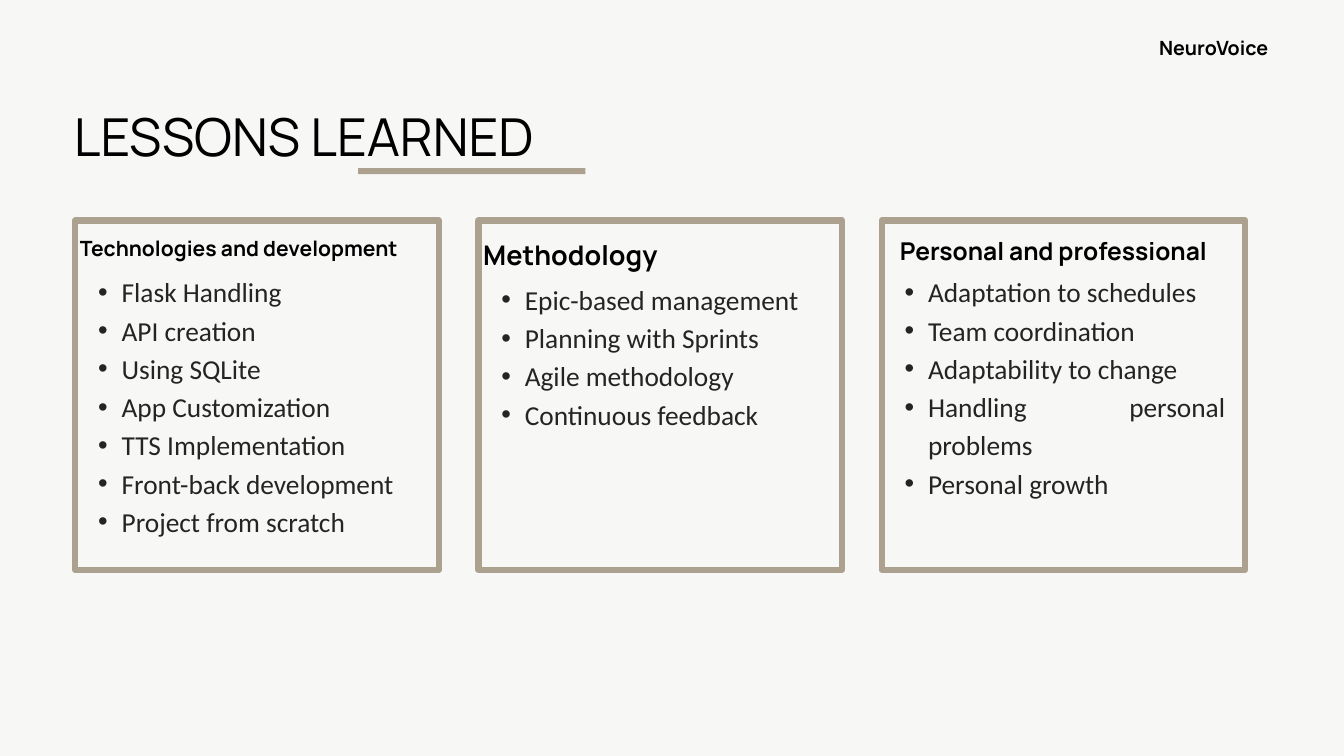
from lxml import etree
from pptx import Presentation
from pptx import util as u
from pptx.dml.color import RGBColor
from pptx.enum import shapes, text
from pptx.oxml.ns import qn

PX = 9144
COLORS = {"paper": "F7F7F6", "taupe": "ACA18F", "black": "000000", "ink": "242424"}
ALIGN = text.PP_ALIGN
PANELS = [
    {"heading": "Technologies and development", "size": 22.5, "leading": 31.4,
     "align": ALIGN.JUSTIFY, "heading_box": (7, 16, 512, 44), "list_box": (0, 74, 605, 393),
     "lessons": ["Flask Handling", "API creation", "Using SQLite", "App Customization",
                 "TTS Implementation", "Front-back development", "Project from scratch"]},
    {"heading": "Methodology", "size": 29, "leading": 40.6,
     "align": ALIGN.LEFT, "heading_box": (7, 19, 426, 57), "list_box": (0, 85, 534, 224),
     "lessons": ["Epic-based management", "Planning with Sprints", "Agile methodology",
                 "Continuous feedback"]},
    {"heading": "Personal and professional", "size": 26.3, "leading": 36.8,
     "align": ALIGN.CENTER, "heading_box": (0, 16, 511, 51), "list_box": (0, 74, 511, 337),
     "lessons": ["Adaptation to schedules", "Team coordination", "Adaptability to change",
                 "Handling personal problems", "Personal growth"]},
]


def color(name):
    """Return the named colour."""
    return RGBColor.from_string(COLORS[name])


def emu(box):
    """Turn a box in px into EMU lengths."""
    return [u.Emu(length * PX) for length in box]


def inside(box, part):
    """Shift a part's box by the corner of the box that holds it."""
    return box[0] + part[0], box[1] + part[1], part[2], part[3]


def add_rectangle(slide, box, fill=None, line=None, width=0):
    """Add a plain rectangle with an optional fill and outline."""
    rectangle = slide.shapes.add_shape(shapes.MSO_SHAPE.RECTANGLE, *emu(box))
    rectangle.shadow.inherit = False
    if fill:
        rectangle.fill.solid()
        rectangle.fill.fore_color.rgb = color(fill)
    else:
        rectangle.fill.background()
    if line:
        rectangle.line.color.rgb = color(line)
        rectangle.line.width = u.Pt(width)
    else:
        rectangle.line.fill.background()


def add_text(slide, box, lines, size, leading, align=ALIGN.LEFT, font="Manrope",
             ink="black", bold=False, bullets=False):
    """Add a text box without insets, one paragraph for each line."""
    frame = slide.shapes.add_textbox(*emu(box)).text_frame
    frame.word_wrap = True
    frame.auto_size = text.MSO_AUTO_SIZE.SHAPE_TO_FIT_TEXT
    frame.margin_left = frame.margin_top = frame.margin_right = frame.margin_bottom = 0
    for index, line in enumerate(lines):
        paragraph = frame.paragraphs[0] if index == 0 else frame.add_paragraph()
        if bullets:
            add_bullet(paragraph)
        paragraph.alignment = align
        paragraph.line_spacing = u.Pt(leading)
        run = paragraph.add_run()
        run.text = line
        run.font.name = font
        run.font.size = u.Pt(size)
        run.font.bold = bold
        run.font.color.rgb = color(ink)


def add_bullet(paragraph):
    """Give a paragraph a round bullet and a hanging indent."""
    paragraph.level = 1
    properties = paragraph._p.get_or_add_pPr()
    properties.set("marL", str(69 * PX))
    properties.set("indent", str(-35 * PX))
    etree.SubElement(properties, qn("a:buFont")).set("typeface", "Arial")
    etree.SubElement(properties, qn("a:buChar")).set("char", "•")


def add_header(slide, box):
    """Place the underlined title and the project name."""
    add_rectangle(slide, inside(box, (423, 202, 338, 9)), fill="taupe")
    add_text(slide, inside(box, (0, 92, 1082, 110)), ["LESSONS LEARNED"], 56, 78.4)
    add_text(slide, inside(box, (1415, 0, 362, 41)), ["NeuroVoice"], 21, 29.4,
             ALIGN.RIGHT, bold=True)


def add_panel(slide, box, panel):
    """Place a framed panel with its heading and list of lessons."""
    add_rectangle(slide, box, line="taupe", width=6.75)
    add_text(slide, inside(box, panel["heading_box"]), [panel["heading"]],
             panel["size"], panel["leading"], panel["align"], bold=True)
    add_text(slide, inside(box, panel["list_box"]), panel["lessons"], 29.3, 41,
             ALIGN.JUSTIFY, "Calibri", "ink", bullets=True)


def main():
    """Build and save the slide."""
    deck = Presentation()
    deck.slide_width, deck.slide_height = emu((2000, 1125))
    slide = deck.slides.add_slide(deck.slide_layouts[6])
    slide.background.fill.solid()
    slide.background.fill.fore_color.rgb = color("paper")
    add_header(slide, (110, 48, 1777, 211))
    for column, panel in enumerate(PANELS):
        add_panel(slide, (112 + 600 * column, 328, 541, 520), panel)
    deck.save("out.pptx")


if __name__ == "__main__":
    main()
